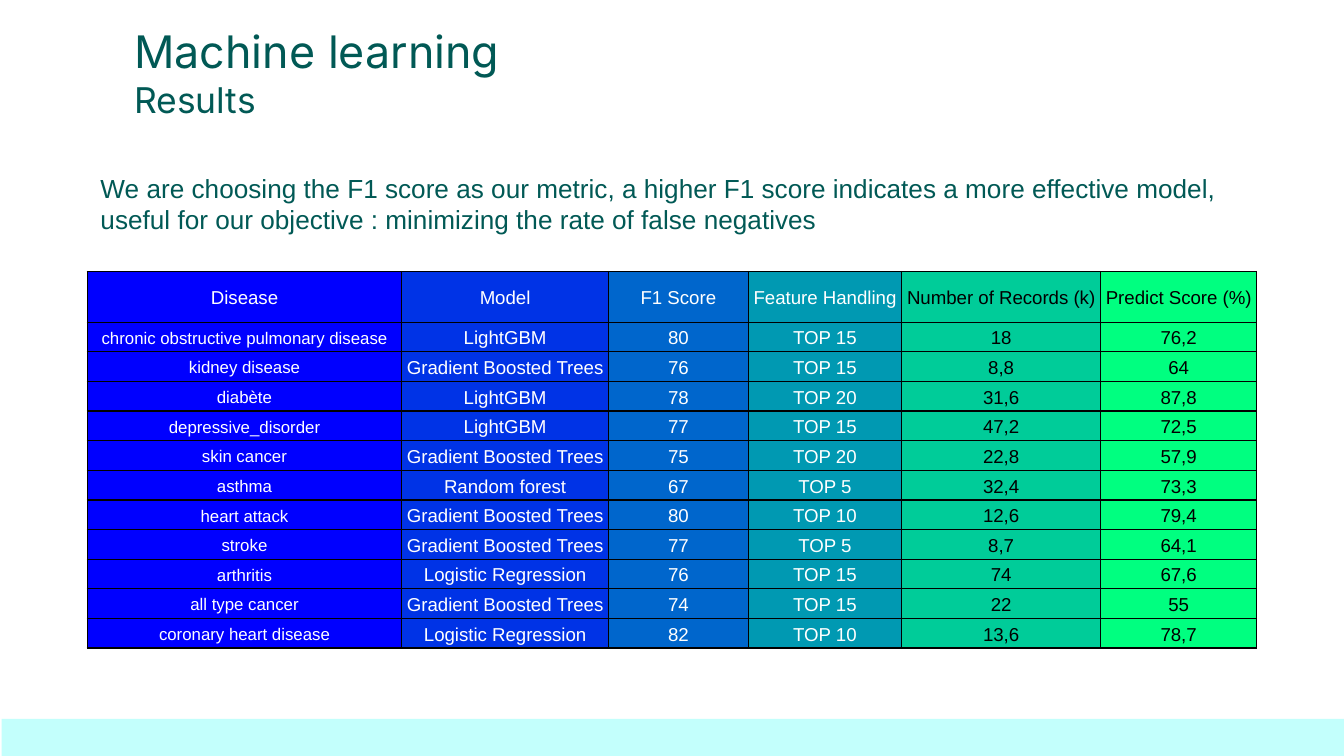
"""Build the machine learning results slide."""
from dataclasses import dataclass

from lxml.etree import SubElement
from pptx import Presentation
from pptx.dml.color import RGBColor
from pptx.enum.shapes import MSO_SHAPE
from pptx.enum.text import MSO_ANCHOR, MSO_AUTO_SIZE, PP_ALIGN
from pptx.oxml.ns import qn
from pptx.slide import Slide
from pptx.table import _Cell as Cell
from pptx.text.text import TextFrame, _Paragraph as Paragraph
from pptx.util import Cm, Pt


@dataclass(frozen=True)
class Theme:
    heading_font: str = "Inter"
    body_font: str = "Arial"
    ink: str = "015955"
    band: str = "C3FFFC"
    light: str = "FFFFFF"
    dark: str = "000000"
    title_size: int = 24
    subtitle_size: int = 19
    body_size: int = 14
    table_size: int = 10
    disease_size: int = 9
    border_width: float = 0.75


@dataclass(frozen=True)
class Box:
    left: float
    top: float
    width: float
    height: float

    def lengths(self) -> tuple[Cm, Cm, Cm, Cm]:
        return Cm(self.left), Cm(self.top), Cm(self.width), Cm(self.height)


@dataclass(frozen=True)
class Column:
    heading: str
    width: float
    fill: str
    color: str
    size: int


THEME = Theme()
HEADER_HEIGHT, ROW_HEIGHT = 0.96, 0.56
COLUMNS = (
    Column("Disease", 5.94, "0000FF", THEME.light, THEME.disease_size),
    Column("Model", 3.91, "0033E6", THEME.light, THEME.table_size),
    Column("F1 Score", 2.64, "0066CC", THEME.light, THEME.table_size),
    Column("Feature Handling", 2.9, "0099B2", THEME.light, THEME.table_size),
    Column("Number of Records (k)", 3.76, "00CC99", THEME.dark, THEME.table_size),
    Column("Predict Score (%)", 2.95, "00FF80", THEME.dark, THEME.table_size),
)
RESULTS = (
    ("chronic obstructive pulmonary disease", "LightGBM", "80", "TOP 15", "18", "76,2"),
    ("kidney disease", "Gradient Boosted Trees", "76", "TOP 15", "8,8", "64"),
    ("diabète", "LightGBM", "78", "TOP 20", "31,6", "87,8"),
    ("depressive_disorder", "LightGBM", "77", "TOP 15", "47,2", "72,5"),
    ("skin cancer", "Gradient Boosted Trees", "75", "TOP 20", "22,8", "57,9"),
    ("asthma", "Random forest", "67", "TOP 5", "32,4", "73,3"),
    ("heart attack", "Gradient Boosted Trees", "80", "TOP 10", "12,6", "79,4"),
    ("stroke", "Gradient Boosted Trees", "77", "TOP 5", "8,7", "64,1"),
    ("arthritis", "Logistic Regression", "76", "TOP 15", "74", "67,6"),
    ("all type cancer", "Gradient Boosted Trees", "74", "TOP 15", "22", "55"),
    ("coronary heart disease", "Logistic Regression", "82", "TOP 10", "13,6", "78,7"),
)


def add_run(paragraph: Paragraph, text: str, font: str, size: int, color: str) -> None:
    run = paragraph.add_run()
    run.text = text
    run.font.name = font
    run.font.size = Pt(size)
    run.font.color.rgb = RGBColor.from_string(color)


def prepare_frame(frame: TextFrame) -> None:
    frame.word_wrap = True
    frame.auto_size = MSO_AUTO_SIZE.NONE
    frame.vertical_anchor = MSO_ANCHOR.TOP
    frame.margin_left = frame.margin_right = Cm(0.25)
    frame.margin_top = frame.margin_bottom = Cm(0.25)


def add_title(slide: Slide, box: Box) -> None:
    title = slide.shapes.title
    title.left, title.top, title.width, title.height = box.lengths()
    frame = title.text_frame
    prepare_frame(frame)
    lines = (("Machine learning", THEME.title_size), ("Results", THEME.subtitle_size))
    for index, (text, size) in enumerate(lines):
        paragraph = frame.add_paragraph() if index else frame.paragraphs[0]
        paragraph.alignment = PP_ALIGN.LEFT
        add_run(paragraph, text, THEME.heading_font, size, THEME.ink)


def add_footer_band(slide: Slide, box: Box) -> None:
    band = slide.shapes.add_shape(MSO_SHAPE.RECTANGLE, *box.lengths())
    band.shadow.inherit = False
    band.fill.solid()
    band.fill.fore_color.rgb = RGBColor.from_string(THEME.band)
    band.line.fill.background()


def add_borders(cell: Cell) -> None:
    properties = cell._tc.get_or_add_tcPr()
    for index, side in enumerate(("lnL", "lnR", "lnT", "lnB")):
        line = properties.makeelement(qn(f"a:{side}"), {"w": str(Pt(THEME.border_width))})
        fill = SubElement(line, qn("a:solidFill"))
        SubElement(fill, qn("a:srgbClr"), val=THEME.dark)
        properties.insert(index, line)


def fill_cell(cell: Cell, text: str, column: Column, size: int) -> None:
    cell.fill.solid()
    cell.fill.fore_color.rgb = RGBColor.from_string(column.fill)
    cell.vertical_anchor = MSO_ANCHOR.MIDDLE
    cell.margin_left = cell.margin_right = Cm(0.07)
    cell.margin_top = cell.margin_bottom = Cm(0.04)
    paragraph = cell.text_frame.paragraphs[0]
    paragraph.alignment = PP_ALIGN.CENTER
    paragraph.line_spacing = 1.15
    add_run(paragraph, text, THEME.body_font, size, column.color)
    add_borders(cell)


def add_results_table(slide: Slide, left: float, top: float) -> None:
    width = sum(column.width for column in COLUMNS)
    height = HEADER_HEIGHT + ROW_HEIGHT * len(RESULTS)
    box = Box(left, top, width, height)
    table = slide.shapes.add_table(len(RESULTS) + 1, len(COLUMNS), *box.lengths()).table
    table.first_row = table.horz_banding = False
    for row_index, row in enumerate(table.rows):
        row.height = Cm(ROW_HEIGHT if row_index else HEADER_HEIGHT)
    for column_index, column in enumerate(COLUMNS):
        table.columns[column_index].width = Cm(column.width)
        fill_cell(table.cell(0, column_index), column.heading, column, THEME.table_size)
        for row_index, result in enumerate(RESULTS, start=1):
            cell = table.cell(row_index, column_index)
            fill_cell(cell, result[column_index], column, column.size)


def add_statement(slide: Slide, box: Box, text: str) -> None:
    frame = slide.shapes.add_textbox(*box.lengths()).text_frame
    prepare_frame(frame)
    add_run(frame.paragraphs[0], text, THEME.body_font, THEME.body_size, THEME.ink)


def main() -> None:
    presentation = Presentation()
    presentation.slide_width, presentation.slide_height = Cm(25.4), Cm(14.29)
    slide = presentation.slides.add_slide(presentation.slide_layouts.get_by_name("Title Only"))
    add_title(slide, Box(2.29, 0.2, 14.76, 2.34))
    add_footer_band(slide, Box(0.03, 13.59, 25.4, 0.7))
    add_results_table(slide, 1.65, 5.13)
    add_statement(
        slide,
        Box(1.65, 3, 22.1, 1.7),
        "We are choosing the F1 score as our metric, a higher F1 score indicates a more "
        "effective model, useful for our objective : minimizing the rate of false negatives",
    )
    presentation.save("out.pptx")


if __name__ == "__main__":
    main()
